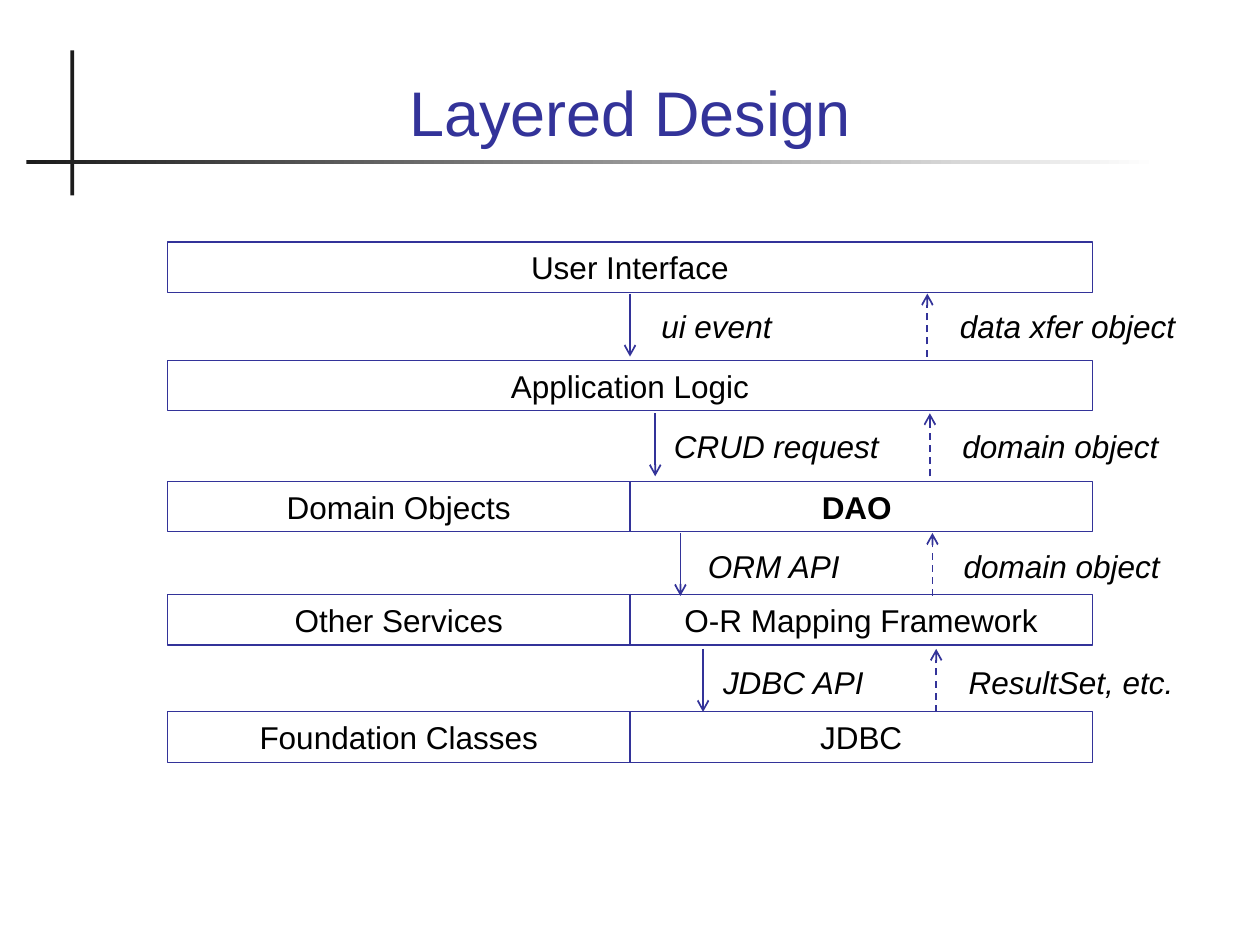
from lxml import etree
from pptx import Presentation
from pptx.dml.color import RGBColor
from pptx.enum.dml import MSO_LINE
from pptx.enum.shapes import MSO_CONNECTOR, MSO_SHAPE
from pptx.enum.text import MSO_ANCHOR, PP_ALIGN
from pptx.oxml.ns import qn
from pptx.util import Inches, Pt

RECTANGLE = MSO_SHAPE.RECTANGLE
STRAIGHT = MSO_CONNECTOR.STRAIGHT
DASH = MSO_LINE.DASH
MIDDLE, BOTTOM = MSO_ANCHOR.MIDDLE, MSO_ANCHOR.BOTTOM
LEFT, CENTER = PP_ALIGN.LEFT, PP_ALIGN.CENTER

FONT = "Arial"
BLUE, BLACK, DARK, WHITE = "333399", "000000", "1C1C1C", "FFFFFF"

TITLE = "Layered Design"

# Each layer: top, then the boxes that share its width equally
LAYERS = [
    (1.92, ["User Interface"]),
    (2.86, ["Application Logic"]),
    (3.82, ["Domain Objects", "DAO "]),
    (4.72, ["Other Services", "O-R Mapping Framework"]),
    (5.65, ["Foundation Classes", "JDBC"]),
]
BOLD_BOXES = {"DAO "}

# Each gap between layers: arrow top, then (arrow x, label x, label) down and up
MESSAGES = [
    (2.33, (5.00, 5.15, "ui event"), (7.36, 7.52, "data xfer object")),
    (3.28, (5.20, 5.25, "CRUD request"), (7.38, 7.54, "domain object")),
    (4.23, (5.40, 5.52, "ORM API"), (7.40, 7.55, "domain object")),
    (5.15, (5.58, 5.64, "JDBC API"), (7.43, 7.59, "ResultSet, etc.")),
]

STACK_LEFT, STACK_WIDTH = 1.33, 7.34
ROW_HEIGHT = 0.4
ARROW_LENGTH = 0.5
LABEL_DROP = 0.06
LABEL_WIDTH = 2


def color(hex_value):
    return RGBColor.from_string(hex_value)


def write(shape, text, size=18, hex_value=BLACK, align=CENTER, anchor=MIDDLE,
          bold=False, italic=False):
    frame = shape.text_frame
    frame.word_wrap = True
    frame.vertical_anchor = anchor
    paragraph = frame.paragraphs[0]
    paragraph.alignment = align
    run = paragraph.add_run()
    run.text = text
    font = run.font
    font.name, font.size = FONT, Pt(size)
    font.bold, font.italic = bold, italic
    font.color.rgb = color(hex_value)


def add_rectangle(slide, left, top, width, height):
    shape = slide.shapes.add_shape(
        RECTANGLE, Inches(left), Inches(top), Inches(width), Inches(height))
    shape.shadow.inherit = False
    return shape


def add_text(slide, left, top, width, height, text, **style):
    box = slide.shapes.add_textbox(
        Inches(left), Inches(top), Inches(width), Inches(height))
    write(box, text, **style)


def add_rules(slide):
    """Draw the crossed rules beside and below the title."""
    vertical = add_rectangle(slide, 0.56, 0.4, 0.03, 1.15)
    vertical.fill.solid()
    vertical.fill.fore_color.rgb = color(DARK)
    horizontal = add_rectangle(slide, 0.21, 1.27, 8.99, 0.03)
    horizontal.fill.gradient()
    horizontal.fill.gradient_angle = 0
    for stop, hex_value in zip(horizontal.fill.gradient_stops, (DARK, WHITE)):
        stop.color.rgb = color(hex_value)
    for rule in (vertical, horizontal):
        rule.line.fill.background()


def add_layer(slide, top, names):
    width = STACK_WIDTH / len(names)
    for column, name in enumerate(names):
        box = add_rectangle(slide, STACK_LEFT + column * width, top, width, ROW_HEIGHT)
        box.fill.background()
        box.line.color.rgb = color(BLUE)
        box.line.width = Pt(0.75)
        write(box, name, bold=name in BOLD_BOXES)


def add_arrow(slide, x, start, end, dashed):
    arrow = slide.shapes.add_connector(
        STRAIGHT, Inches(x), Inches(start), Inches(x), Inches(end))
    arrow.line.color.rgb = color(BLUE)
    arrow.line.width = Pt(1)
    if dashed:
        arrow.line.dash_style = DASH
    etree.SubElement(arrow.line._get_or_add_ln(), qn("a:tailEnd"), type="arrow")
    etree.SubElement(arrow._element.spPr, qn("a:effectLst"))


def add_message(slide, top, message, upward):
    x, label_left, label = message
    ends = (top, top + ARROW_LENGTH)
    start, end = reversed(ends) if upward else ends
    add_arrow(slide, x, start, end, dashed=upward)
    add_text(slide, label_left, top + LABEL_DROP, LABEL_WIDTH, ROW_HEIGHT, label,
             align=LEFT, italic=True)


def main():
    presentation = Presentation()
    presentation.slide_width, presentation.slide_height = Inches(10), Inches(7.5)
    slide = presentation.slides.add_slide(presentation.slide_layouts[6])
    add_rules(slide)
    add_text(slide, 0.67, 0.28, 8.66, 0.95, TITLE,
             size=36, hex_value=BLUE, anchor=BOTTOM)
    for top, names in LAYERS:
        add_layer(slide, top, names)
    for top, request, response in MESSAGES:
        add_message(slide, top, request, upward=False)
        add_message(slide, top, response, upward=True)
    presentation.save("out.pptx")


if __name__ == "__main__":
    main()
